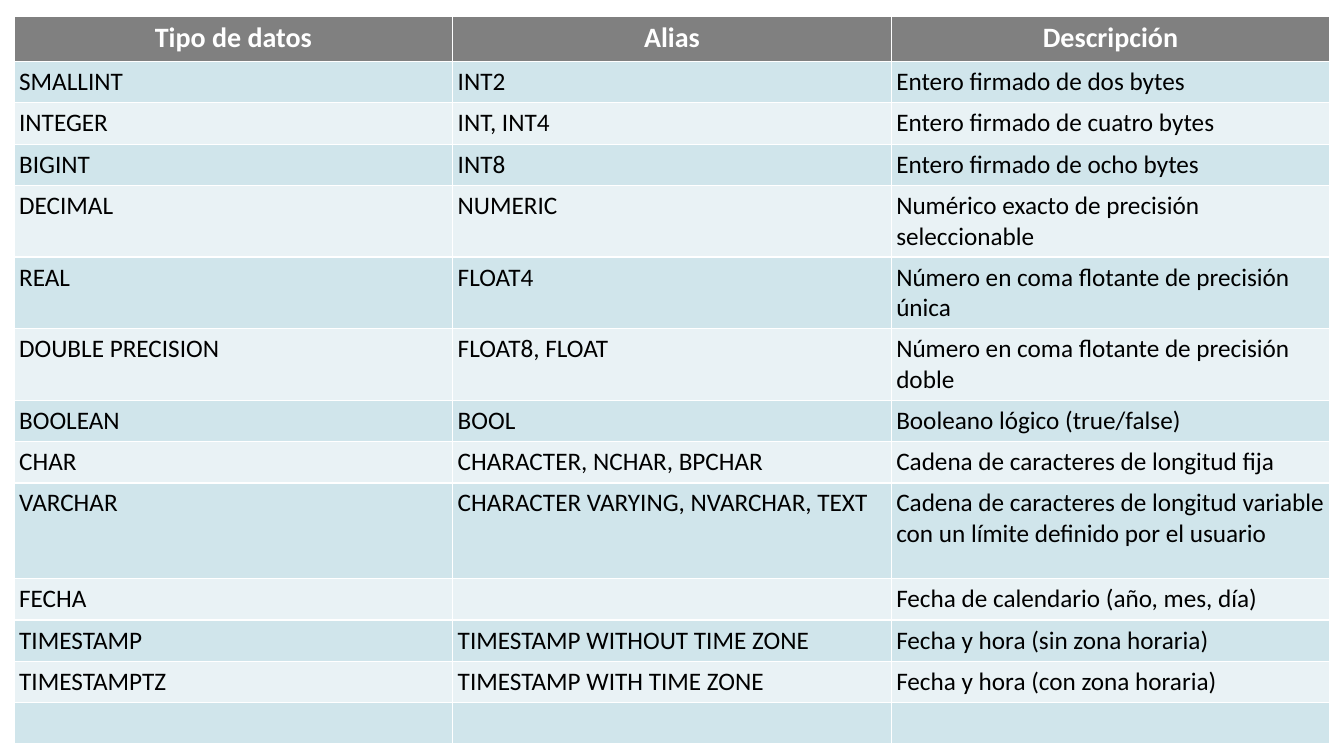
"""Build a slide with a table of SQL data types, their aliases and descriptions."""
from dataclasses import dataclass

from pptx import Presentation
from pptx.dml.color import RGBColor
from pptx.enum.text import PP_ALIGN
from pptx.util import Inches, Pt

HEADINGS = ("Tipo de datos", "Alias", "Descripción")
SINGLE, DOUBLE, TALL = 0.41, 0.71, 0.95
DATA_TYPES = [
    (SINGLE, "SMALLINT", "INT2", "Entero firmado de dos bytes"),
    (SINGLE, "INTEGER", "INT, INT4", "Entero firmado de cuatro bytes"),
    (SINGLE, "BIGINT", "INT8", "Entero firmado de ocho bytes"),
    (DOUBLE, "DECIMAL", "NUMERIC", "Numérico exacto de precisión seleccionable"),
    (DOUBLE, "REAL", "FLOAT4", "Número en coma flotante de precisión única"),
    (DOUBLE, "DOUBLE PRECISION", "FLOAT8, FLOAT", "Número en coma flotante de precisión doble"),
    (SINGLE, "BOOLEAN", "BOOL", "Booleano lógico (true/false)"),
    (SINGLE, "CHAR", "CHARACTER, NCHAR, BPCHAR", "Cadena de caracteres de longitud fija"),
    (TALL, "VARCHAR", "CHARACTER VARYING, NVARCHAR, TEXT",
     "Cadena de caracteres de longitud variable con un límite definido por el usuario"),
    (SINGLE, "FECHA", "", "Fecha de calendario (año, mes, día)"),
    (SINGLE, "TIMESTAMP", "TIMESTAMP WITHOUT TIME ZONE", "Fecha y hora (sin zona horaria)"),
    (SINGLE, "TIMESTAMPTZ", "TIMESTAMP WITH TIME ZONE", "Fecha y hora (con zona horaria)"),
    (SINGLE, "", "", ""),
]
HEADER_HEIGHT, COLUMN_WIDTH = 0.45, 4.35
LEFT, TOP, MARGIN = 0.14, 0.16, 0.05


@dataclass(frozen=True)
class Theme:
    """Colours and type of the slide."""

    font: str = "Calibri"
    header_size: int = 20
    body_size: int = 18
    header_fill: str = "808080"
    header_text: str = "FFFFFF"
    body_text: str = "000000"
    bands: tuple = ("D0E5EB", "E9F2F5")


THEME = Theme()


def fill_cell(cell, text, fill, is_header):
    """Write and format one table cell."""
    cell.margin_left = cell.margin_right = Inches(MARGIN)
    cell.margin_top = cell.margin_bottom = Inches(MARGIN)
    cell.fill.solid()
    cell.fill.fore_color.rgb = RGBColor.from_string(fill)
    cell.text = text
    paragraph = cell.text_frame.paragraphs[0]
    paragraph.alignment = PP_ALIGN.CENTER if is_header else PP_ALIGN.LEFT
    font = paragraph.font
    font.name = THEME.font
    font.bold = is_header
    font.size = Pt(THEME.header_size if is_header else THEME.body_size)
    font.color.rgb = RGBColor.from_string(THEME.header_text if is_header else THEME.body_text)


presentation = Presentation()
presentation.slide_width, presentation.slide_height = Inches(13.33), Inches(7.5)
slide = presentation.slides.add_slide(presentation.slide_layouts[6])

rows = [(HEADER_HEIGHT, *HEADINGS), *DATA_TYPES]
table = slide.shapes.add_table(
    len(rows), len(HEADINGS), Inches(LEFT), Inches(TOP),
    Inches(COLUMN_WIDTH * len(HEADINGS)), Inches(sum(row[0] for row in rows)),
).table
for column in table.columns:
    column.width = Inches(COLUMN_WIDTH)
for row_index, (height, *texts) in enumerate(rows):
    table.rows[row_index].height = Inches(height)
    is_header = row_index == 0
    fill = THEME.header_fill if is_header else THEME.bands[(row_index - 1) % 2]
    for column_index, text in enumerate(texts):
        fill_cell(table.cell(row_index, column_index), text, fill, is_header)

presentation.save("out.pptx")
